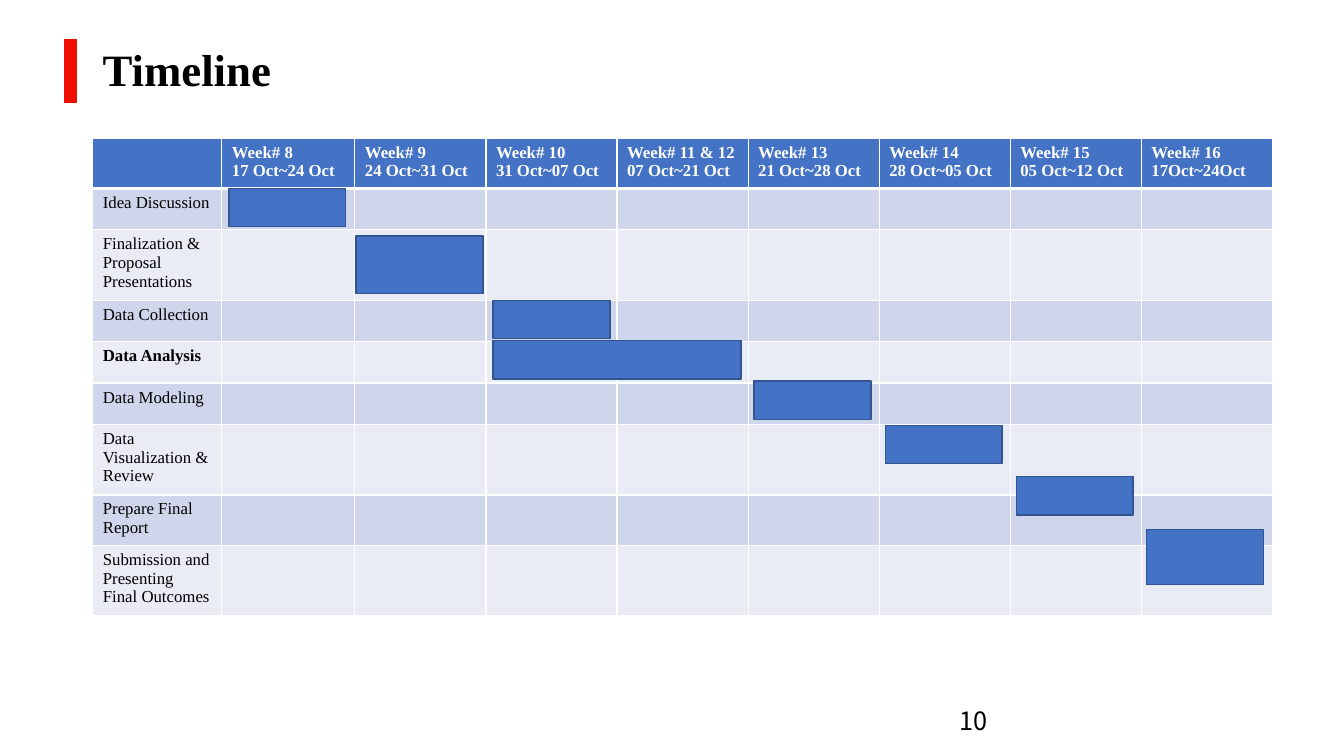
from dataclasses import dataclass

from lxml.etree import SubElement
from pptx import Presentation
from pptx.dml.color import RGBColor
from pptx.enum.shapes import MSO_SHAPE
from pptx.enum.text import MSO_ANCHOR
from pptx.oxml.ns import qn
from pptx.util import Inches, Pt


@dataclass(frozen=True)
class Theme:
    accent: str = "ED0F00"
    blue: str = "4472C4"
    bar_line: str = "325491"
    bands: tuple = ("CFD5EA", "E9EBF5")
    white: str = "FFFFFF"
    black: str = "000000"
    serif: str = "Times New Roman"
    sans: str = "Noto Sans CJK KR"
    title_size: int = 32
    number_size: int = 18
    table_size: int = 12


WEEKS = [
    "Week# 8\n17 Oct~24 Oct",
    "Week# 9\n24 Oct~31 Oct",
    "Week# 10\n31 Oct~07 Oct",
    "Week# 11 & 12\n07 Oct~21 Oct",
    "Week# 13\n21 Oct~28 Oct",
    "Week# 14\n28 Oct~05 Oct",
    "Week# 15\n05 Oct~12 Oct",
    "Week# 16\n17Oct~24Oct",
]
TASKS = [
    "Idea Discussion",
    "Finalization & Proposal Presentations",
    "Data Collection",
    "Data Analysis",
    "Data Modeling",
    "Data Visualization & Review",
    "Prepare Final Report",
    "Submission and Presenting Final Outcomes",
]
KEY_TASK = "Data Analysis"
COLUMN_WIDTHS = [1.28, 1.32] + [1.3] * 7
ROW_HEIGHT = 0.41
BAR_WIDTH, BAR_HEIGHT = 1.16, 0.38
BARS = [
    (2.27, 1.87, BAR_WIDTH, BAR_HEIGHT),
    (3.53, 2.34, 1.26, 0.57),
    (4.89, 2.98, BAR_WIDTH, BAR_HEIGHT),
    (4.89, 3.38, 2.46, BAR_HEIGHT),
    (7.48, 3.78, BAR_WIDTH, BAR_HEIGHT),
    (8.78, 4.22, BAR_WIDTH, BAR_HEIGHT),
    (10.08, 4.73, BAR_WIDTH, BAR_HEIGHT),
    (11.37, 5.25, BAR_WIDTH, 0.55),
]


class SlideBuilder:
    """Draws styled elements on the current slide."""

    def __init__(self, slide, theme):
        self.slide = slide
        self.theme = theme

    def set_text(self, frame, text, font, size, color, bold=False):
        frame.text = text
        for paragraph in frame.paragraphs:
            for span in paragraph.runs:
                span.font.name = font
                span.font.size = Pt(size)
                span.font.bold = bold
                span.font.color.rgb = RGBColor.from_string(color)

    def block(self, bounds, fill, line, preset=MSO_SHAPE.RECTANGLE):
        shape = self.slide.shapes.add_shape(preset, *map(Inches, bounds))
        shape.shadow.inherit = False
        shape.fill.solid()
        shape.fill.fore_color.rgb = RGBColor.from_string(fill)
        shape.line.color.rgb = RGBColor.from_string(line)
        shape.line.width = Pt(1)

    def label(self, bounds, text, font, size, bold=False, spacing=None):
        box = self.slide.shapes.add_textbox(*map(Inches, bounds))
        frame = box.text_frame
        frame.word_wrap = True
        frame.vertical_anchor = MSO_ANCHOR.MIDDLE
        self.set_text(frame, text, font, size, self.theme.black, bold)
        frame.paragraphs[0].line_spacing = spacing

    def cell_style(self, cell, fill, top, bottom):
        properties = cell._tc.get_or_add_tcPr()
        for side, width in (("L", 1), ("R", 1), ("T", top), ("B", bottom)):
            line = SubElement(properties, qn(f"a:ln{side}"), w=str(Pt(width)))
            solid = SubElement(line, qn("a:solidFill"))
            SubElement(solid, qn("a:srgbClr"), val=self.theme.white)
        cell.fill.solid()
        cell.fill.fore_color.rgb = RGBColor.from_string(fill)

    def schedule(self, left, top):
        theme = self.theme
        rows = [[""] + WEEKS] + [[task] + [""] * len(WEEKS) for task in TASKS]
        table = self.slide.shapes.add_table(
            len(rows), len(COLUMN_WIDTHS), Inches(left), Inches(top),
            Inches(sum(COLUMN_WIDTHS)), Inches(ROW_HEIGHT * len(rows)),
        ).table
        for column, width in zip(table.columns, COLUMN_WIDTHS):
            column.width = Inches(width)
        for index, texts in enumerate(rows):
            table.rows[index].height = Inches(ROW_HEIGHT)
            header = index == 0
            fill = theme.blue if header else theme.bands[(index - 1) % 2]
            color = theme.white if header else theme.black
            for cell, text in zip(table.rows[index].cells, texts):
                self.cell_style(cell, fill, 3 if index == 1 else 1, 3 if header else 1)
                if text:
                    self.set_text(cell.text_frame, text, theme.serif, theme.table_size,
                                  color, header or text == KEY_TASK)


def main():
    deck = Presentation()
    deck.slide_width, deck.slide_height = Inches(13.33), Inches(7.5)
    theme = Theme()
    page = SlideBuilder(deck.slides.add_slide(deck.slide_layouts[6]), theme)
    page.block((0.64, 0.39, 0.12, 0.62), theme.accent, theme.accent,
               MSO_SHAPE.FLOWCHART_PROCESS)
    page.label((0.92, 0.4, 11.5, 0.62), "Timeline", theme.serif,
               theme.title_size, bold=True, spacing=0.9)
    page.label((9.42, 6.95, 3, 0.4), "10", theme.sans, theme.number_size)
    page.schedule(0.92, 1.37)
    for bounds in BARS:
        page.block(bounds, theme.blue, theme.bar_line)
    deck.save("out.pptx")


if __name__ == "__main__":
    main()
